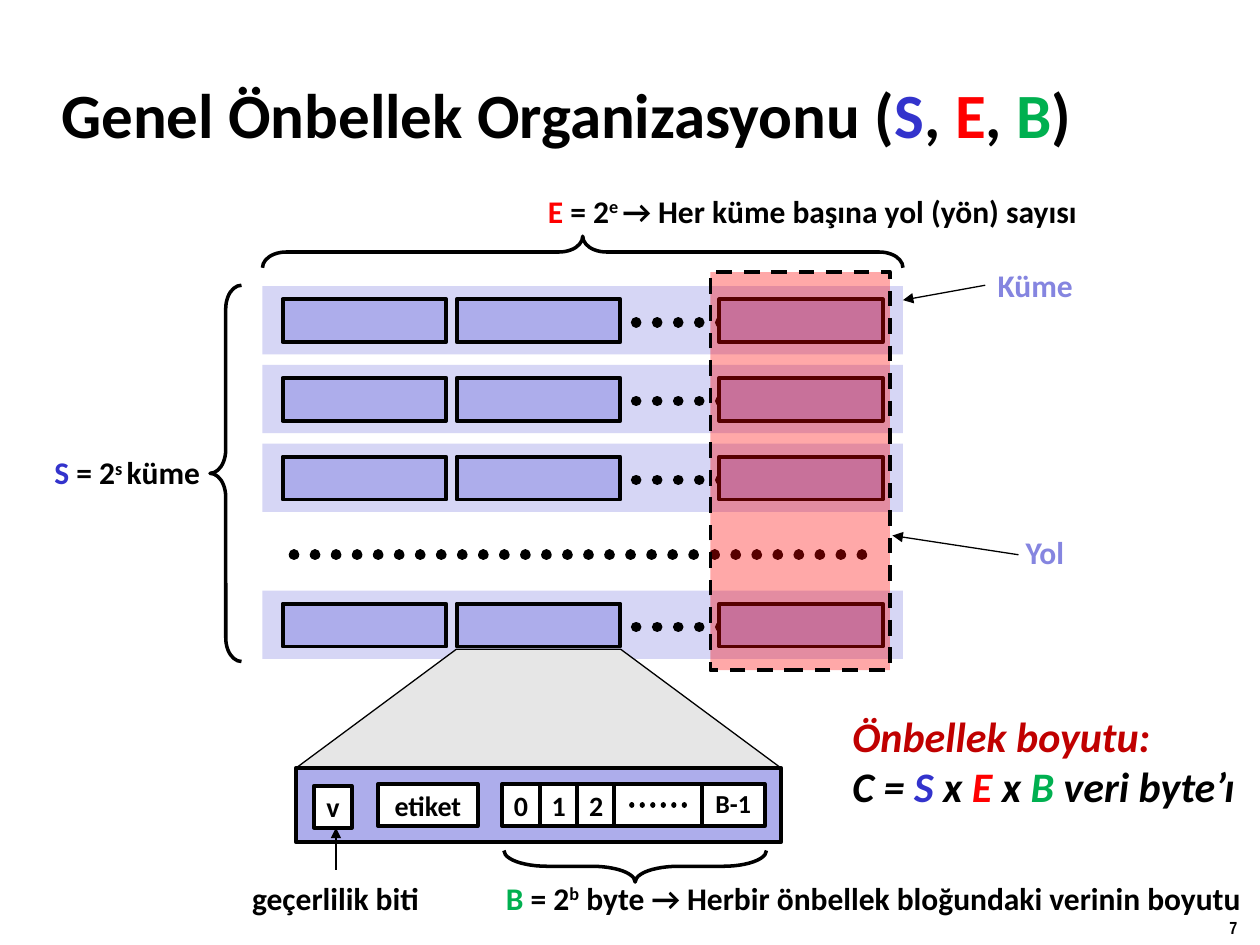
"""Build the slide on general cache organisation (S, E, B)."""
from lxml.etree import SubElement
from pptx import Presentation
from pptx.dml.color import RGBColor
from pptx.enum.dml import MSO_LINE
from pptx.enum.shapes import MSO_CONNECTOR, MSO_SHAPE
from pptx.enum.text import MSO_ANCHOR, PP_ALIGN
from pptx.oxml.ns import qn
from pptx.util import Pt

BLACK, WHITE, BLUE, RED, GREEN = "000000", "FFFFFF", "3333CC", "FF0000", "00B050"
BAND, BLOCK, LABEL, GREY, DARK = "D6D6F5", "ADADEB", "8585E0", "E6E6E6", "C00000"

TITLE = [("Genel Önbellek Organizasyonu (", BLACK), ("S", BLUE), (", ", BLACK),
         ("E", RED), (", ", BLACK), ("B", GREEN), (")", BLACK)]
SIZE = [[("Önbellek boyutu:", DARK)],
        [("C = ", BLACK), ("S", BLUE), (" x ", BLACK), ("E", RED), (" x ", BLACK),
         ("B ", GREEN), ("veri byte’ı", BLACK)]]
NOTES = [
    ((306, 106, 323, 29), [("E", RED), (" = 2", BLACK), ("e ", BLACK, True),
                           ("→ Her küme başına yol (yön) sayısı", BLACK)]),
    ((24, 255.5, 101, 29), [("S", BLUE), (" = 2", BLACK), ("s ", BLACK, True),
                            ("küme", BLACK)]),
    ((563, 148.5, 57.5, 29), [("Küme", LABEL)]),
    ((579, 301, 37, 29), [("Yol", LABEL)]),
    ((282, 498.5, 441, 29), [("B", GREEN), (" = 2", BLACK), ("b", BLACK, True),
                             (" byte → Herbir önbellek bloğundaki verinin boyutu", BLACK)]),
    ((137, 498.5, 111, 29), [("geçerlilik biti", BLACK)]),
]
ROWS = [163.5, 208.5, 253.5, 337.5]
COLS = [161.5, 261, 411]
BRACES = [((324, -39, 18, 366), 90, 0.75), ((120, 163, 18, 215), 0, 0.75),
          ((354, 420, 18, 150), 270, 1.37)]
ARROWS = [(563, 163, 516, 171.5), (582, 317, 510, 306), (192, 497, 192, 473)]
CELLS = [("0", 287, 448, 21.5, 16), ("1", 308.5, 448, 21.5, 16),
         ("2", 330, 448, 21.5, 16), ("B-1", 401, 448, 36, 14.8),
         ("", 351, 448, 50, 16), ("etiket", 216, 448, 57, 16),
         ("v", 179.5, 449, 21.5, 16)]


def hue(code):
    return RGBColor.from_string(code)


def write(frame, paras, size, face="Calibri", slant=False, align=PP_ALIGN.LEFT):
    for num, runs in enumerate(paras):
        para = frame.add_paragraph() if num else frame.paragraphs[0]
        para.alignment = align
        font = para.font
        font.name, font.size, font.bold, font.italic = face, Pt(size), True, slant
        for text, code, *high in runs:
            run = para.add_run()
            run.text = text
            run.font.color.rgb = hue(code)
            if high:
                run.font._element.set("baseline", "30000")


def label(slide, box, paras, size, **style):
    frame = slide.shapes.add_textbox(*map(Pt, box)).text_frame
    frame.word_wrap = False
    write(frame, paras, size, **style)
    return frame


def shape(slide, box, fill=None, width=2.25, kind=MSO_SHAPE.RECTANGLE):
    item = slide.shapes.add_shape(kind, *map(Pt, box))
    item.shadow.inherit = False
    if fill:
        item.fill.solid()
        item.fill.fore_color.rgb = hue(fill)
    else:
        item.fill.background()
    if width:
        item.line.width = Pt(width)
        item.line.color.rgb = hue(BLACK)
    else:
        item.line.fill.background()
    return item


def line(slide, ends, width):
    item = slide.shapes.add_connector(MSO_CONNECTOR.STRAIGHT, *map(Pt, ends))
    item.line.width = Pt(width)
    item.line.color.rgb = hue(BLACK)
    SubElement(item._element.spPr, qn("a:effectLst"))
    return item.line


def dots(slide, left, right, top, width):
    pen = line(slide, (left, top, right, top), width)
    pen.dash_style = MSO_LINE.ROUND_DOT
    pen._get_or_add_ln().set("cap", "rnd")


def arrow(slide, ends):
    pen = line(slide, ends, 0.75)
    SubElement(pen._get_or_add_ln(), qn("a:tailEnd"), type="triangle")


def sets(slide):
    for top in ROWS:
        shape(slide, (150, top, 366, 39), BAND, 0)
        dots(slide, 363.5, 412, top + 20.7, 6)
        for left in COLS:
            shape(slide, (left, top + 7.5, 93.5, 24.5), BLOCK)
    dots(slide, 168, 504, 317, 6)


def detail(slide):
    cone = shape(slide, (169, 371, 277.5, 68), GREY, 0.75, MSO_SHAPE.TRAPEZOID)
    cone.adjustments[0] = 1.35
    shape(slide, (169, 439, 277.5, 42), BLOCK)
    for text, left, top, width, size in CELLS:
        cell = shape(slide, (left, top, width, 24), WHITE)
        if text:
            frame = cell.text_frame
            frame.word_wrap = False
            frame.vertical_anchor = MSO_ANCHOR.MIDDLE
            write(frame, [[(text, BLACK)]], size, align=PP_ALIGN.CENTER)
            if text == "B-1":
                frame.paragraphs[0].line_spacing = 0.9
    dots(slide, 361, 397, 460, 3)


def way(slide):
    item = shape(slide, (406, 155.5, 102.5, 227.5), RED)
    item.line.dash_style = MSO_LINE.DASH
    tint = item._element.spPr.find(qn("a:solidFill"))[0]
    SubElement(tint, qn("a:alpha"), val="34000")


def main():
    deck = Presentation()
    deck.slide_width, deck.slide_height = Pt(720), Pt(540)
    slide = deck.slides.add_slide(deck.slide_layouts[6])
    label(slide, (695.5, 520.5, 24.5, 19.5), [[("7", BLACK)]], 10, face="Arial Narrow")
    head = label(slide, (28, 34.5, 598, 60), [TITLE], 36)
    head.word_wrap, head.vertical_anchor = True, MSO_ANCHOR.MIDDLE
    sets(slide)
    detail(slide)
    for box, turn, bend in BRACES:
        brace = shape(slide, box, None, 2, MSO_SHAPE.LEFT_BRACE)
        brace.rotation = turn
        brace.adjustments[0] = bend
    for box, runs in NOTES:
        label(slide, box, [runs], 18)
    label(slide, (480, 402.5, 235, 65.5), SIZE, 24, slant=True)
    for ends in ARROWS:
        arrow(slide, ends)
    way(slide)
    deck.save("out.pptx")


if __name__ == "__main__":
    main()
